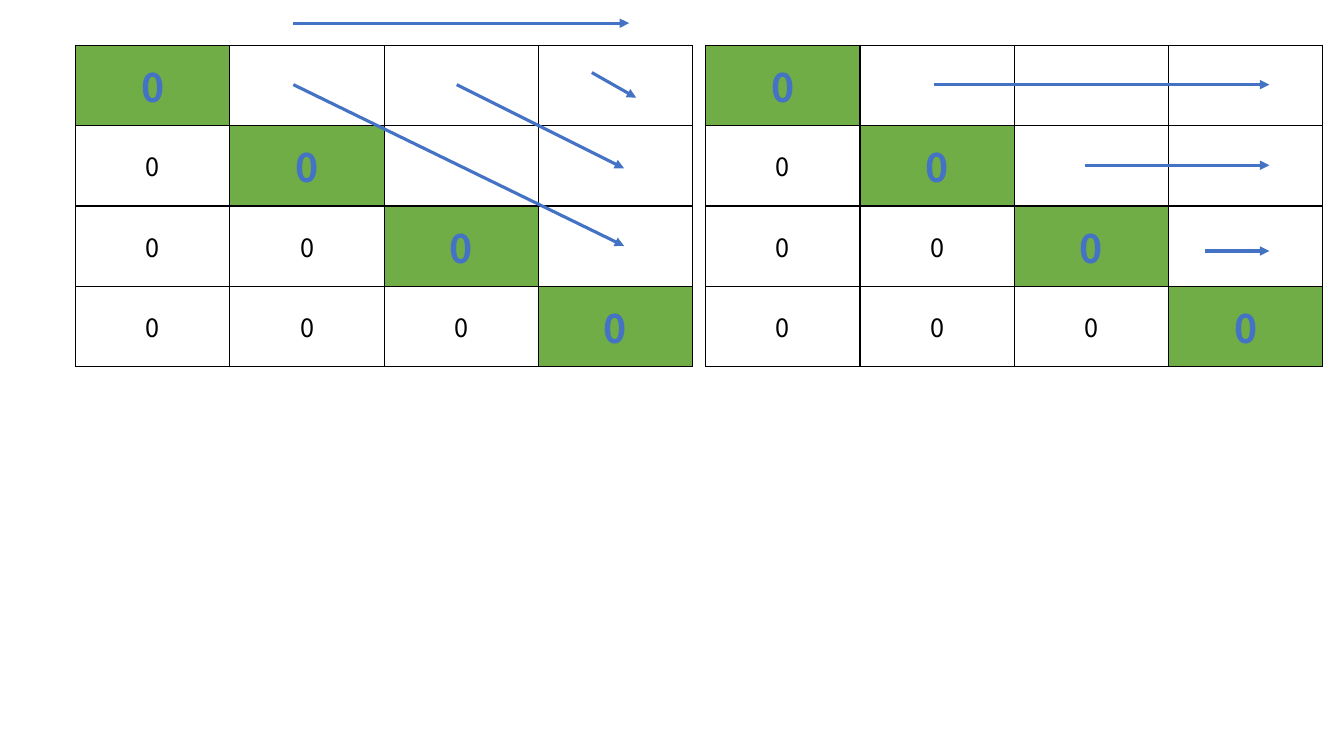
from lxml.etree import SubElement
from pptx import Presentation
from pptx.dml.color import RGBColor
from pptx.enum.shapes import MSO_CONNECTOR
from pptx.enum.text import MSO_ANCHOR, PP_ALIGN
from pptx.oxml.ns import qn
from pptx.util import Inches, Pt

BLUE = RGBColor(0x44, 0x72, 0xC4)
GREEN = RGBColor(0x70, 0xAD, 0x47)
BLACK = RGBColor(0, 0, 0)
FONT = "Noto Sans CJK SC"

SIZE = 4
TOP, WIDE, HIGH = 0.45, 6.12, 3.19
LEFT_GRID, RIGHT_GRID = 0.75, 7

# Arrow ends: x1, y1, x2, y2
DIAGONALS = [
    (2.91, 0.84, 6.19, 2.44),
    (4.53, 0.84, 6.19, 1.67),
    (5.87, 0.72, 6.31, 0.97),
    (2.91, 0.23, 6.24, 0.23),
]
ROWS = [
    (9.26, 0.84, 12.59, 0.84),
    (10.76, 1.64, 12.59, 1.64),
    (11.95, 2.49, 12.59, 2.49),
]


def put_text(cell, text, size=18, color=BLACK, bold=False):
    cell.vertical_anchor = MSO_ANCHOR.MIDDLE
    para = cell.text_frame.paragraphs[0]
    para.alignment = PP_ALIGN.CENTER
    run = para.add_run()
    run.text = text
    run.font.name = FONT
    run.font.size = Pt(size)
    run.font.bold = bold
    run.font.color.rgb = color


def add_border(cell):
    props = cell._tc.get_or_add_tcPr()
    for side in ("a:lnL", "a:lnR", "a:lnT", "a:lnB"):
        line = SubElement(props, qn(side), w=str(Pt(1)))
        fill = SubElement(line, qn("a:solidFill"))
        SubElement(fill, qn("a:srgbClr"), val=str(BLACK))


def add_matrix(slide, left):
    frame = slide.shapes.add_table(
        SIZE, SIZE, Inches(left), Inches(TOP), Inches(WIDE), Inches(HIGH))
    table = frame.table
    table.first_row = table.horz_banding = False
    for row in range(SIZE):
        for col in range(SIZE):
            cell = table.cell(row, col)
            add_border(cell)
            # Green diagonal, plain zeros below it, empty cells above
            if row == col:
                cell.fill.solid()
                cell.fill.fore_color.rgb = GREEN
                put_text(cell, "0", size=28, color=BLUE, bold=True)
            else:
                cell.fill.background()
                if col < row:
                    put_text(cell, "0")


def add_arrow(slide, ends):
    arrow = slide.shapes.add_connector(
        MSO_CONNECTOR.STRAIGHT, *(Inches(end) for end in ends))
    arrow.line.color.rgb = BLUE
    arrow.line.width = Pt(2.25)
    SubElement(arrow.line._get_or_add_ln(), qn("a:tailEnd"), type="triangle")
    SubElement(arrow._element.spPr, qn("a:effectLst"))


def main():
    deck = Presentation()
    deck.slide_width, deck.slide_height = Inches(13.33), Inches(7.5)
    slide = deck.slides.add_slide(deck.slide_layouts[6])

    # Each matrix with the arrows over it
    for left, arrows in ((LEFT_GRID, DIAGONALS), (RIGHT_GRID, ROWS)):
        add_matrix(slide, left)
        for ends in arrows:
            add_arrow(slide, ends)

    deck.save("out.pptx")


main()
